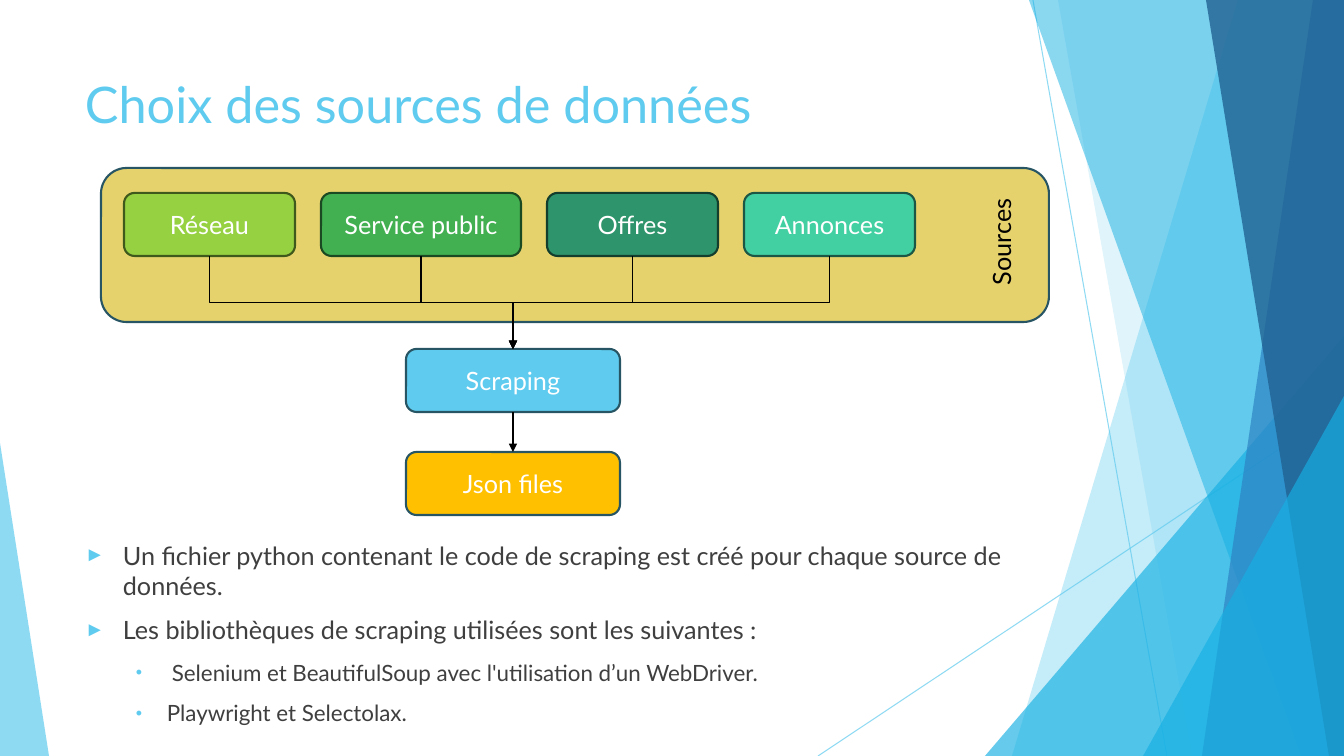
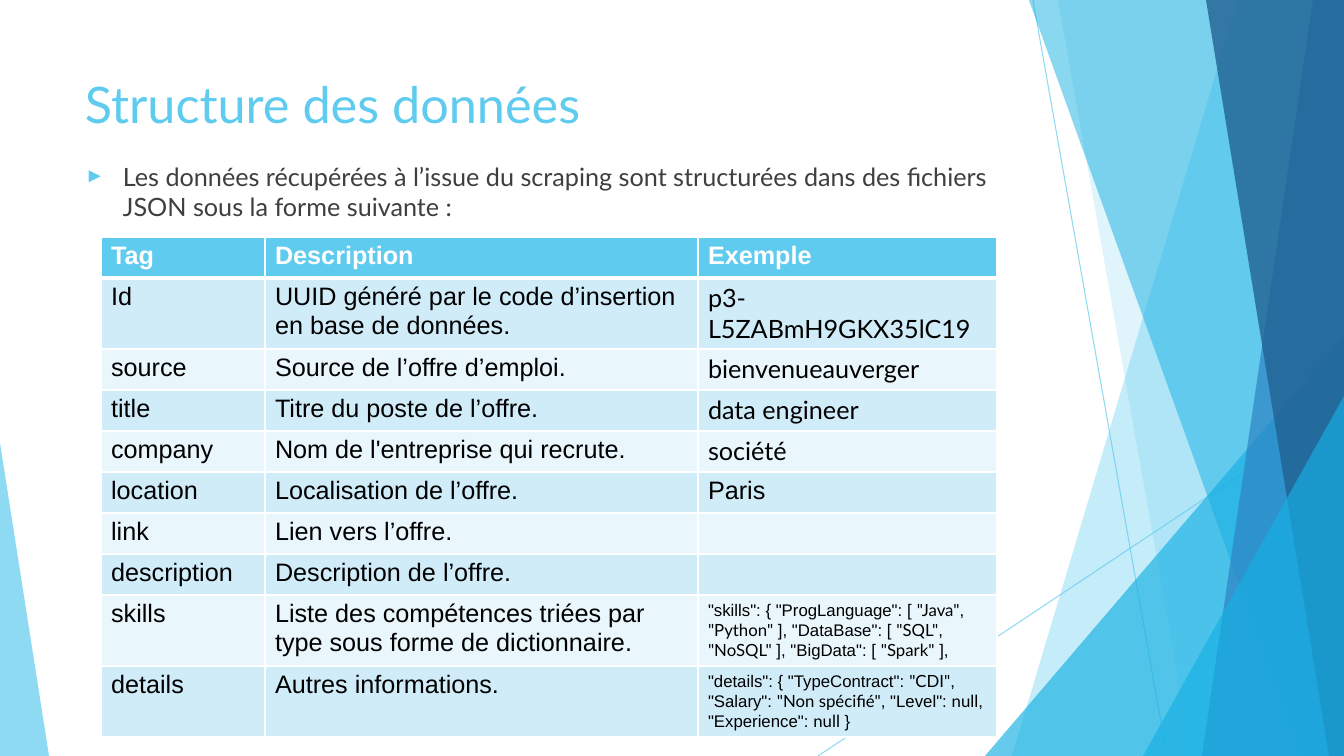
from itertools import cycle

from lxml import etree
from pptx import Presentation
from pptx.dml.color import RGBColor
from pptx.enum.shapes import MSO_CONNECTOR, MSO_SHAPE
from pptx.enum.text import MSO_ANCHOR, PP_ALIGN
from pptx.oxml.ns import qn
from pptx.util import Emu, Pt

SLIDE_WIDTH, SLIDE_HEIGHT = 1344, 756
EMU_PER_PX = 12192000 / SLIDE_WIDTH

STRAIGHT, ELBOW = MSO_CONNECTOR.STRAIGHT, MSO_CONNECTOR.ELBOW
ROUNDED, TRIANGLE = MSO_SHAPE.ROUNDED_RECTANGLE, MSO_SHAPE.ISOSCELES_TRIANGLE
MIDDLE, CENTER, LEFT = MSO_ANCHOR.MIDDLE, PP_ALIGN.CENTER, PP_ALIGN.LEFT
TOP_SIDE, BOTTOM_SIDE = 0, 2

WHITE = RGBColor(0xFF, 0xFF, 0xFF)
BLACK = RGBColor(0x00, 0x00, 0x00)
BODY_GREY = RGBColor(0x3F, 0x3F, 0x3F)
SKY = RGBColor(0x5F, 0xCB, 0xEF)
CYAN = RGBColor(0x16, 0xB0, 0xE3)
BLUE = RGBColor(0x2E, 0x83, 0xC3)
NAVY = RGBColor(0x22, 0x62, 0x92)
OUTLINE = RGBColor(0x28, 0x55, 0x64)
SAND = RGBColor(0xE6, 0xD2, 0x6D)
AMBER = RGBColor(0xFF, 0xC0, 0x00)
LIME, LIME_DARK = RGBColor(0x96, 0xD1, 0x41), RGBColor(0x3F, 0x58, 0x1B)
GREEN, GREEN_DARK = RGBColor(0x42, 0xB0, 0x51), RGBColor(0x1B, 0x4A, 0x22)
PINE, PINE_DARK = RGBColor(0x2E, 0x94, 0x6B), RGBColor(0x13, 0x3E, 0x2D)
MINT, MINT_DARK = RGBColor(0x42, 0xD0, 0xA2), RGBColor(0x1B, 0x57, 0x44)
ROW_FILLS = (RGBColor(0xD1, 0xEC, 0xF9), RGBColor(0xE9, 0xF6, 0xFC))

LATO, ARIAL = "Lato", "Arial"
TITLE_FONT = {"name": LATO, "size": Pt(36)}
TEXT_FONT = {"name": LATO, "size": Pt(18)}
SUBTEXT_FONT = {"name": LATO, "size": Pt(16)}
HEADER_FONT = {"name": ARIAL, "size": Pt(18), "bold": True}

TITLE_BOX = (75, 68, 948, 101)
# Bullet level: symbol, left margin, hanging indent, font
MAIN = ("►", 38, 38, TEXT_FONT)
SUB = ("•", 82, 31, SUBTEXT_FONT)
SUB_WIDE = ("•", 87, 36, SUBTEXT_FONT)

SOURCES = (
    ("Réseau", 171, LIME, LIME_DARK),
    ("Service public", 200, GREEN, GREEN_DARK),
    ("Offres", 171, PINE, PINE_DARK),
    ("Annonces", 171, MINT, MINT_DARK),
)
SCRAPING_NOTES = (
    ("Un fichier python contenant le code de scraping est créé pour chaque source de données.", MAIN),
    ("Les bibliothèques de scraping utilisées sont les suivantes :", MAIN),
    ("Selenium et BeautifulSoup avec l'utilisation d’un WebDriver.", SUB_WIDE),
    ("Playwright et Selectolax.", SUB),
)
STRUCTURE_NOTES = (
    ("Les données récupérées à l’issue du scraping sont structurées dans des fichiers JSON sous la forme suivante :", MAIN),
)
COLUMN_WIDTHS = (164, 433, 299)
ROW_HEIGHT, TALL_ROW_HEIGHT = 41, 71
TALL_ROWS = ("Id", "skills", "details")
HEADERS = ("Tag", "Description", "Exemple")
# Tag, description, font size of the example, first font of the example, its runs
FIELDS = (
    ("Id", "UUID généré par le code d’insertion en base de données.", 18, LATO, ["p3-L5ZABmH9GKX35lC19"]),
    ("source", "Source de l’offre d’emploi.", 18, LATO, ["bienvenueauverger"]),
    ("title", "Titre du poste de l’offre.", 18, LATO, ["data engineer"]),
    ("company", "Nom de l'entreprise qui recrute.", 18, LATO, ["société"]),
    ("location", "Localisation de l’offre.", 18, ARIAL, ["Paris"]),
    ("link", "Lien vers l’offre.", 18, ARIAL, []),
    ("description", "Description de l’offre.", 18, ARIAL, []),
    ("skills", "Liste des compétences triées par type sous forme de dictionnaire.", 12, ARIAL,
     ['"skills": { "ProgLanguage": [ ', '"Java"', ", ", '"Python"', ' ], "DataBase": [ ', '"SQL"',
      ", ", '"NoSQL"', ' ], "BigData": [ ', '"Spark"', " ],"]),
    ("details", "Autres informations.", 12, ARIAL,
     ['"details": { "TypeContract": ', '"CDI"', ', "Salary": ', '"Non spécifié"', ', "Level": ',
      "null", ', "Experience": ', "null", " }"]),
)


def px(value):
    return Emu(round(value * EMU_PER_PX))


def px_all(values):
    return [px(value) for value in values]


def add_element(parent, tag, **attributes):
    return etree.SubElement(parent, qn(tag), attributes)


def add_run(paragraph, text, font_format, color):
    run = paragraph.add_run()
    run.text = text
    for name, value in font_format.items():
        setattr(run.font, name, value)
    run.font.color.rgb = color


def set_opacity(shape, percent):
    for color in shape._element.spPr.iter(qn("a:srgbClr")):
        add_element(color, "a:alpha", val=str(percent * 1000))


def add_text_box(slide, box):
    text_box = slide.shapes.add_textbox(*px_all(box))
    text_box.text_frame.word_wrap = True
    return text_box


def add_line(slide, kind, ends, color, points):
    connector = slide.shapes.add_connector(kind, *px_all(ends))
    connector.line.color.rgb = color
    connector.line.width = Pt(points)
    add_element(connector._element.spPr, "a:effectLst")
    return connector


def add_panel(slide, top_x, bottom_x, color, opacity):
    """Panel with a slanted left edge that reaches the right edge of the slide."""
    builder = slide.shapes.build_freeform(px(top_x), px(0))
    corners = ((SLIDE_WIDTH, 0), (SLIDE_WIDTH, SLIDE_HEIGHT), (bottom_x, SLIDE_HEIGHT))
    builder.add_line_segments([px_all(corner) for corner in corners])
    paint_decoration(builder.convert_to_shape(), color, opacity)


def add_wedge(slide, box, apex, color, opacity):
    """Triangle whose apex lies at a fraction of its width."""
    triangle = slide.shapes.add_shape(TRIANGLE, *px_all(box))
    triangle.adjustments[0] = apex
    paint_decoration(triangle, color, opacity)


def paint_decoration(shape, color, opacity):
    shape.shadow.inherit = False
    shape.fill.solid()
    shape.fill.fore_color.rgb = color
    shape.line.fill.background()
    set_opacity(shape, opacity)


def draw_backdrop(slide):
    for ends in ((1033, 0, 1167, SLIDE_HEIGHT), (SLIDE_WIDTH, 406, 818, SLIDE_HEIGHT)):
        set_opacity(add_line(slide, STRAIGHT, ends, SKY, 0.75), 70)
    add_panel(slide, 1238, 1012, SKY, 36)
    add_panel(slide, 1058, 1192, SKY, 20)
    add_wedge(slide, (985, 336, 359, 420), 1, CYAN, 66)
    add_panel(slide, 1029, 1301, CYAN, 50)
    add_panel(slide, 1313, 1202, BLUE, 70)
    add_panel(slide, 1206, 1329, NAVY, 80)
    add_wedge(slide, (1143, 396, 201, 360), 1, CYAN, 66)
    add_wedge(slide, (0, 443, 49, 313), 0, SKY, 70)


def add_titled_slide(presentation, title):
    slide = presentation.slides.add_slide(presentation.slide_layouts[6])
    draw_backdrop(slide)
    paragraph = add_text_box(slide, TITLE_BOX).text_frame.paragraphs[0]
    add_run(paragraph, title, TITLE_FONT, SKY)
    return slide


def set_bullet(paragraph, symbol, margin, hanging):
    properties = paragraph._p.get_or_add_pPr()
    properties.set("marL", str(px(margin)))
    properties.set("indent", str(-px(hanging)))
    add_element(add_element(properties, "a:buClr"), "a:srgbClr", val=str(SKY))
    add_element(properties, "a:buSzPct", val="80000")
    add_element(properties, "a:buFont", typeface=ARIAL)
    add_element(properties, "a:buChar", char=symbol)


def add_bullets(slide, box, items):
    frame = add_text_box(slide, box).text_frame
    for index, (text, (symbol, margin, hanging, font_format)) in enumerate(items):
        paragraph = frame.add_paragraph() if index else frame.paragraphs[0]
        set_bullet(paragraph, symbol, margin, hanging)
        if index:
            paragraph.space_before = Pt(10)
        add_run(paragraph, text, font_format, BODY_GREY)


def add_node(slide, box, text, fill, outline=OUTLINE):
    node = slide.shapes.add_shape(ROUNDED, *px_all(box))
    node.shadow.inherit = False
    node.fill.solid()
    node.fill.fore_color.rgb = fill
    node.line.color.rgb = outline
    node.line.width = Pt(1.5)
    if text:
        node.text_frame.vertical_anchor = MIDDLE
        paragraph = node.text_frame.paragraphs[0]
        paragraph.alignment = CENTER
        add_run(paragraph, text, TEXT_FONT, WHITE)
    return node


def join_nodes(slide, upper, lower, kind):
    """Arrow from the bottom of one node to the top of another."""
    arrow = add_line(slide, kind, (0, 0, 0, 0), BLACK, 1)
    add_element(arrow.line._get_or_add_ln(), "a:tailEnd", type="triangle")
    arrow.begin_connect(upper, BOTTOM_SIDE)
    arrow.end_connect(lower, TOP_SIDE)
    if kind == ELBOW:
        turn_elbow(arrow, upper, lower)


def turn_elbow(arrow, upper, lower):
    """Rotate an elbow so that it leaves and arrives vertically."""
    start_x, start_y = upper.left + upper.width // 2, upper.top + upper.height
    end_x, end_y = lower.left + lower.width // 2, lower.top
    drop, reach = end_y - start_y, abs(end_x - start_x)
    arrow.left = Emu((start_x + end_x - drop) // 2)
    arrow.top = Emu((start_y + end_y - reach) // 2)
    arrow.width, arrow.height = Emu(drop), Emu(reach)
    goes_right = end_x > start_x
    frame = arrow._element.spPr.find(qn("a:xfrm"))
    frame.set("rot", "16200000" if goes_right else "5400000")
    frame.set("flipH", "1" if goes_right else "0")
    frame.set("flipV", "0")


def draw_scraping_flow(slide, box):
    left, top, width, height = box
    add_node(slide, box, "", SAND)
    nodes, node_left, node_height, gap = [], left + 23, 63, 26
    for name, node_width, fill, outline in SOURCES:
        node_box = (node_left, top + 25, node_width, node_height)
        nodes.append(add_node(slide, node_box, name, fill, outline))
        node_left += node_width + gap
    scraping, files = (
        add_node(slide, (left + 305, top + offset, 214, node_height), text, fill)
        for text, offset, fill in (("Scraping", 181, SKY), ("Json files", 284, AMBER))
    )
    for node in nodes:
        join_nodes(slide, node, scraping, ELBOW)
    join_nodes(slide, scraping, files, STRAIGHT)
    label = add_text_box(slide, (left + width - 125, top + 30, 154, 40))
    label.rotation = 270
    add_run(label.text_frame.paragraphs[0], "Sources", TEXT_FONT, BLACK)


def format_cell(cell, fill, top_points, bottom_points):
    properties = cell._tc.get_or_add_tcPr()
    for side, points in (("L", 1), ("R", 1), ("T", top_points), ("B", bottom_points)):
        border = add_element(properties, f"a:ln{side}", w=str(Pt(points)))
        add_element(add_element(border, "a:solidFill"), "a:srgbClr", val=str(WHITE))
    cell.fill.solid()
    cell.fill.fore_color.rgb = fill


def draw_field_table(slide, left, top):
    heights = [ROW_HEIGHT] + [TALL_ROW_HEIGHT if field[0] in TALL_ROWS else ROW_HEIGHT for field in FIELDS]
    box = px_all((left, top, sum(COLUMN_WIDTHS), sum(heights)))
    table = slide.shapes.add_table(len(heights), len(COLUMN_WIDTHS), *box).table
    table.horz_banding = False
    for column, width in zip(table.columns, COLUMN_WIDTHS):
        column.width = px(width)
    for row, height in zip(table.rows, heights):
        row.height = px(height)
    for column, text in enumerate(HEADERS):
        cell = table.cell(0, column)
        format_cell(cell, SKY, 1, 3)
        add_run(cell.text_frame.paragraphs[0], text, HEADER_FONT, WHITE)
    for row, (tag, description, size, first_font, example) in enumerate(FIELDS, 1):
        fonts = (first_font, LATO if first_font == ARIAL else ARIAL)
        contents = ((18, (ARIAL,), [tag]), (18, (ARIAL,), [description]), (size, fonts, example))
        for column, (points, names, texts) in enumerate(contents):
            cell = table.cell(row, column)
            format_cell(cell, ROW_FILLS[(row - 1) % 2], 3 if row == 1 else 1, 1)
            paragraph = cell.text_frame.paragraphs[0]
            paragraph.alignment = LEFT
            for text, name in zip(texts, cycle(names)):
                add_run(paragraph, text, {"name": name, "size": Pt(points), "bold": False}, BLACK)


def main():
    presentation = Presentation()
    presentation.slide_width, presentation.slide_height = px(SLIDE_WIDTH), px(SLIDE_HEIGHT)
    sources_slide = add_titled_slide(presentation, "Choix des sources de données")
    draw_scraping_flow(sources_slide, (101, 168, 948, 154))
    add_bullets(sources_slide, (75, 535, 948, 217), SCRAPING_NOTES)
    structure_slide = add_titled_slide(presentation, "Structure des données")
    add_bullets(structure_slide, (75, 156, 948, 80), STRUCTURE_NOTES)
    draw_field_table(structure_slide, 101, 237)
    presentation.save("out.pptx")


if __name__ == "__main__":
    main()
